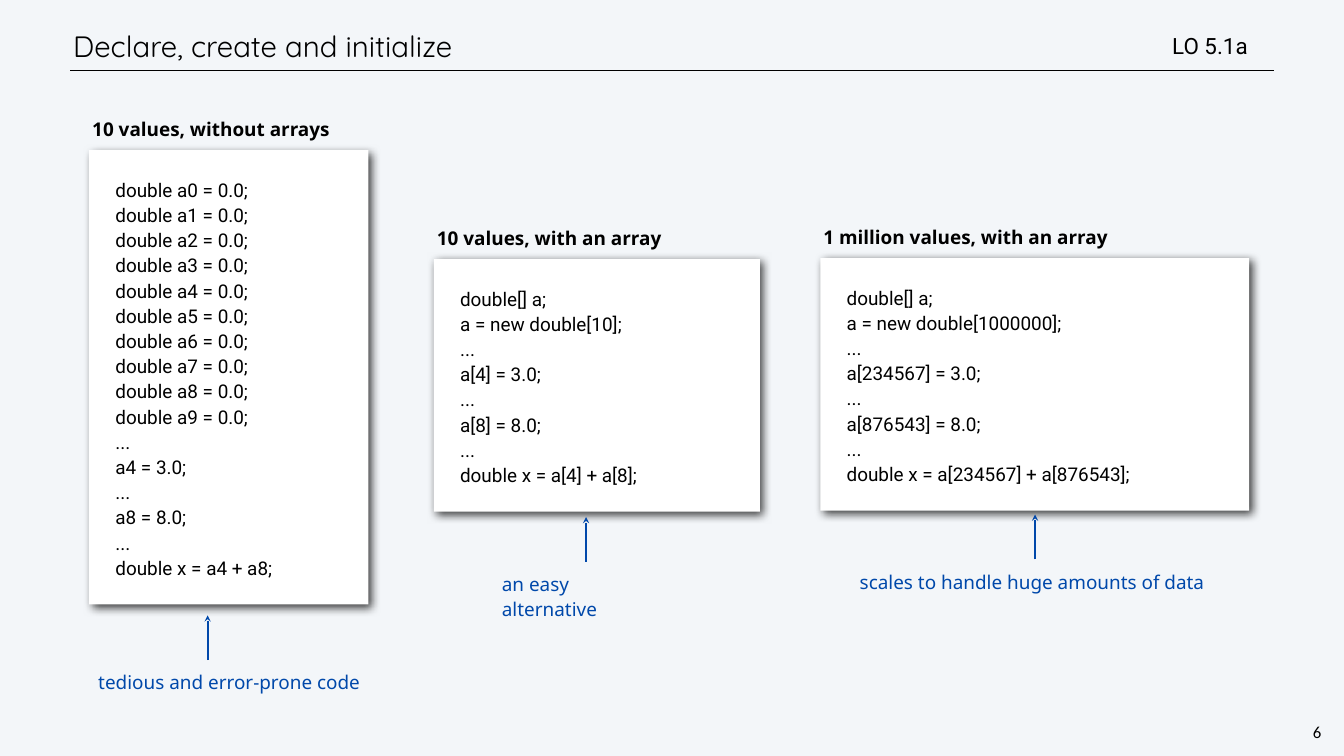
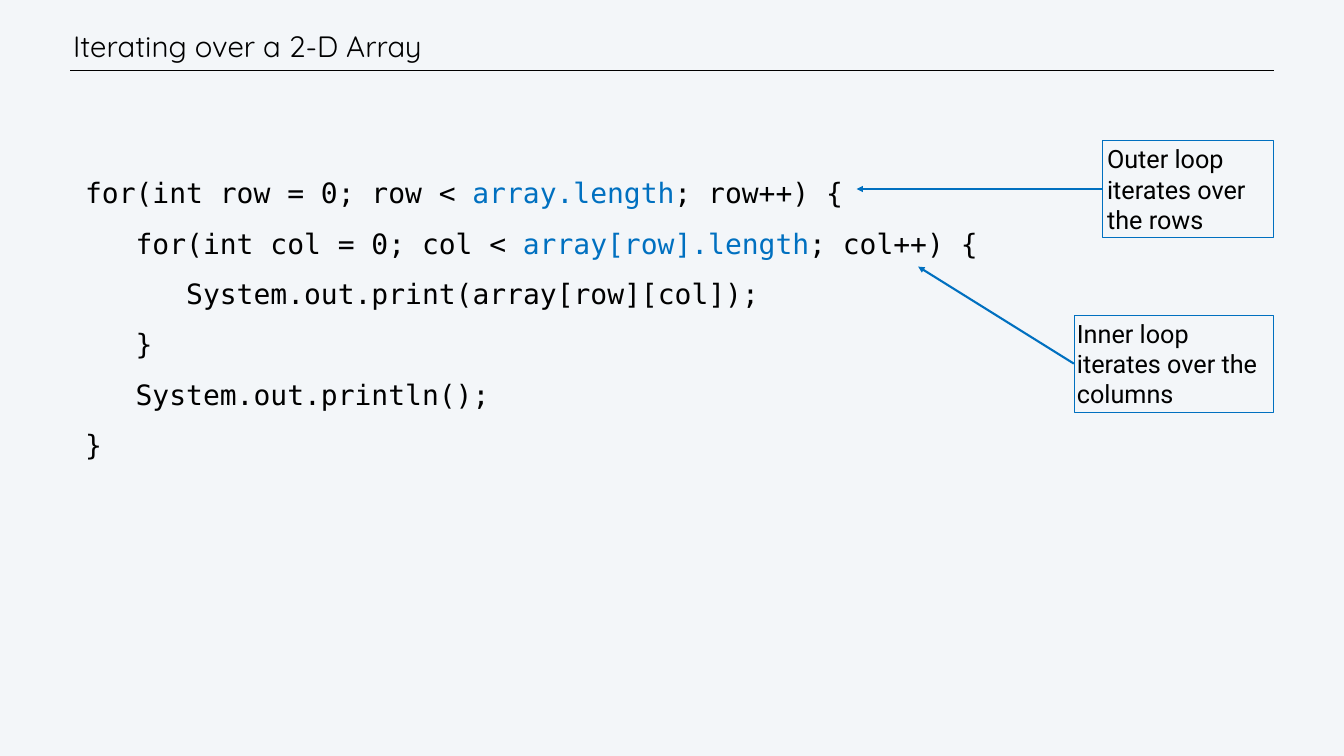
from lxml import etree
from pptx import Presentation
from pptx.dml.color import RGBColor
from pptx.enum.shapes import MSO_CONNECTOR, MSO_SHAPE
from pptx.enum.text import MSO_ANCHOR, MSO_AUTO_SIZE, PP_ALIGN
from pptx.oxml import parse_xml
from pptx.oxml.ns import nsdecls, qn
from pptx.util import Inches, Pt

RECTANGLE, STRAIGHT = MSO_SHAPE.RECTANGLE, MSO_CONNECTOR.STRAIGHT
TOP, MIDDLE = MSO_ANCHOR.TOP, MSO_ANCHOR.MIDDLE
LEFT, CENTER = PP_ALIGN.LEFT, PP_ALIGN.CENTER
FIXED, GROW = MSO_AUTO_SIZE.NONE, MSO_AUTO_SIZE.SHAPE_TO_FIT_TEXT
color = RGBColor.from_string

BACKGROUND, WHITE, BLACK = "F3F6F9", "FFFFFF", "000000"
NAVY, BLUE = "0048AA", "0070C0"

# Text styles: font values and paragraph values
TITLE = ({"name": "Quicksand", "size": Pt(42)},
         {"alignment": LEFT, "line_spacing": Pt(50), "space_before": Pt(3)})
TAG = ({"name": "Roboto", "size": Pt(32)}, {"alignment": LEFT})
PAGE = ({"name": "Calibri", "size": Pt(24)},
        {"alignment": CENTER, "line_spacing": Pt(28)})
CARD = ({"name": "Roboto", "size": Pt(27)},
        {"alignment": LEFT, "line_spacing": Pt(36)})
HEADING = ({"name": "Noto Sans", "size": Pt(27), "bold": True},
           {"alignment": LEFT, "line_spacing": 1.1})
REMARK = ({"name": "Noto Sans", "size": Pt(27)},
          {"alignment": LEFT, "line_spacing": 1.1})
CODE = ({"name": "DejaVu Sans Mono", "size": Pt(40)},
        {"alignment": LEFT, "line_spacing": 1.5})
CALLOUT = ({"name": "Roboto", "size": Pt(36)}, {"alignment": LEFT})


def write(shape, text, style, insets=(0.06, 0.06), ink=BLACK,
          anchor=TOP, wrap=True, fit=GROW):
    """Fill a shape with lines of text; parts between bars turn blue."""
    frame = shape.text_frame
    side, edge = map(Inches, insets)
    frame_values = {"word_wrap": wrap, "auto_size": fit, "vertical_anchor": anchor,
                    "margin_left": side, "margin_right": side,
                    "margin_top": edge, "margin_bottom": edge}
    for key, value in frame_values.items():
        setattr(frame, key, value)
    font_values, paragraph_values = style
    for number, line in enumerate(text.split("\n")):
        paragraph = frame.add_paragraph() if number else frame.paragraphs[0]
        for key, value in paragraph_values.items():
            setattr(paragraph, key, value)
        for position, part in enumerate(line.split("|")):
            run = paragraph.add_run()
            run.text = part
            for key, value in font_values.items():
                setattr(run.font, key, value)
            run.font.color.rgb = color(BLUE if position % 2 else ink)


def draw_line(slide, start, end, ink, width, head=None):
    """Draw a straight line, with an arrowhead at its end if one is named."""
    line = slide.shapes.add_connector(STRAIGHT, *map(Inches, start + end))
    line.line.color.rgb = color(ink)
    line.line.width = Pt(width)
    if head:
        etree.SubElement(line.line._get_or_add_ln(), qn("a:tailEnd"), type=head)
    etree.SubElement(line._element.spPr, qn("a:effectLst"))


prs = Presentation()
prs.slide_width, prs.slide_height = Inches(26.67), Inches(15)
background = prs.slide_master.background.fill
background.solid()
background.fore_color.rgb = color(BACKGROUND)

# Titles with the rule below them
slides = []
for title in ("Declare, create and initialize", "Iterating over a 2-D Array"):
    slide = prs.slides.add_slide(prs.slide_layouts[5])
    draw_line(slide, (1.39, 1.4), (25.28, 1.4), BLACK, 1)
    heading = slide.shapes.title
    heading.left, heading.top = Inches(1.39), Inches(0.42)
    heading.width, heading.height = Inches(22.62), Inches(0.99)
    write(heading, title, TITLE, anchor=MIDDLE, fit=FIXED)
    slides.append(slide)
declare, iterate = slides

# Slide 1: page number and learning objective
page = declare.shapes.add_textbox(*map(Inches, (25.92, 14.29, 0.43, 0.47)))
write(page, "6", PAGE, (0.04, 0.04), wrap=False)
objective = declare.shapes.add_textbox(*map(Inches, (23.2, 0.58, 2.99, 0.65)))
write(objective, "LO 5.1a", TAG, anchor=MIDDLE)

# Slide 1: code cards, each with a heading above and a remark below
without_array = "\n".join(
    [f"double a{i} = 0.0;" for i in range(10)]
    + ["...", "a4 = 3.0;", "...", "a8 = 8.0;", "...", "double x = a4 + a8;"])
with_array, million = (
    f"double[] a;\na = new double[{size}];\n...\na[{first}] = 3.0;\n...\n"
    f"a[{second}] = 8.0;\n...\ndouble x = a[{first}] + a[{second}];"
    for size, first, second in ((10, 4, 8), (1000000, 234567, 876543)))

# code, card box, heading and its width, remark and its place, arrow x
cards = [
    (without_array, (1.77, 2.98, 5.54, 9.01), "10 values, without arrays", 5.11,
     "tedious and error-prone code", (1.69, 13.1, 5.77), 4.12),
    (with_array, (8.61, 5.14, 6.47, 5.01), "10 values, with an array", 4.85,
     "an easy alternative", (9.7, 11.15, 3.83), 11.63),
    (million, (16.28, 5.12, 8.51, 5.01), "1 million values, with an array", 6.06,
     "scales to handle huge amounts of data", (16.8, 11.1, 7.49), 20.54),
]
for code, box, label, label_width, remark, remark_place, arrow_x in cards:
    card = declare.shapes.add_shape(RECTANGLE, *map(Inches, box))
    card.fill.solid()
    card.fill.fore_color.rgb = color(WHITE)
    card.line.fill.background()
    card.shadow.inherit = False
    card._element.spPr.find(qn("a:effectLst")).append(parse_xml(
        f'<a:outerShdw {nsdecls("a")} blurRad="{Pt(13)}" dist="{Pt(6)}" '
        f'dir="2700000" rotWithShape="0"><a:srgbClr val="{BLACK}">'
        '<a:alpha val="75000"/></a:srgbClr></a:outerShdw>'))
    write(card, code, CARD, (0.52, 0.51))

    card_heading = declare.shapes.add_textbox(
        *map(Inches, (box[0] - 0.09, box[1] - 0.75, label_width, 0.56)))
    write(card_heading, label, HEADING, (0.15, 0.06), wrap=False)
    card_remark = declare.shapes.add_textbox(*map(Inches, remark_place + (0.78,)))
    write(card_remark, remark, REMARK, (0.26, 0.17), NAVY, wrap=False)
    remark_top = remark_place[1]
    draw_line(declare, (arrow_x, remark_top), (arrow_x, remark_top - 0.89),
              NAVY, 3, "stealth")

# Slide 2: nested loops
loops = iterate.shapes.add_textbox(*map(Inches, (1.63, 3.07, 18.2, 6.17)))
write(loops, """for(int row = 0; row < |array.length|; row++) {
   for(int col = 0; col < |array[row].length|; col++) {
      System.out.print(array[row][col]);
   }
   System.out.println();
}""", CODE, anchor=MIDDLE)

# Slide 2: callouts, each with an arrow to its loop
callouts = [
    ("Inner loop iterates over the columns", (21.31, 6.25, 3.95, 1.93), 1,
     (0.06, 0.06), (18.22, 5.29)),
    ("Outer loop iterates over the rows", (21.87, 2.79, 3.4, 1.92), 0.75,
     (0.1, 0.05), (17, 3.75)),
]
for explanation, box, border, insets, target in callouts:
    callout = iterate.shapes.add_shape(RECTANGLE, *map(Inches, box))
    callout.fill.background()
    callout.line.color.rgb = color(BLUE)
    callout.line.width = Pt(border)
    callout.shadow.inherit = False
    write(callout, explanation, CALLOUT, insets, anchor=MIDDLE)
    draw_line(iterate, (box[0], box[1] + box[3] / 2), target, BLUE, 3, "triangle")

prs.save("out.pptx")
